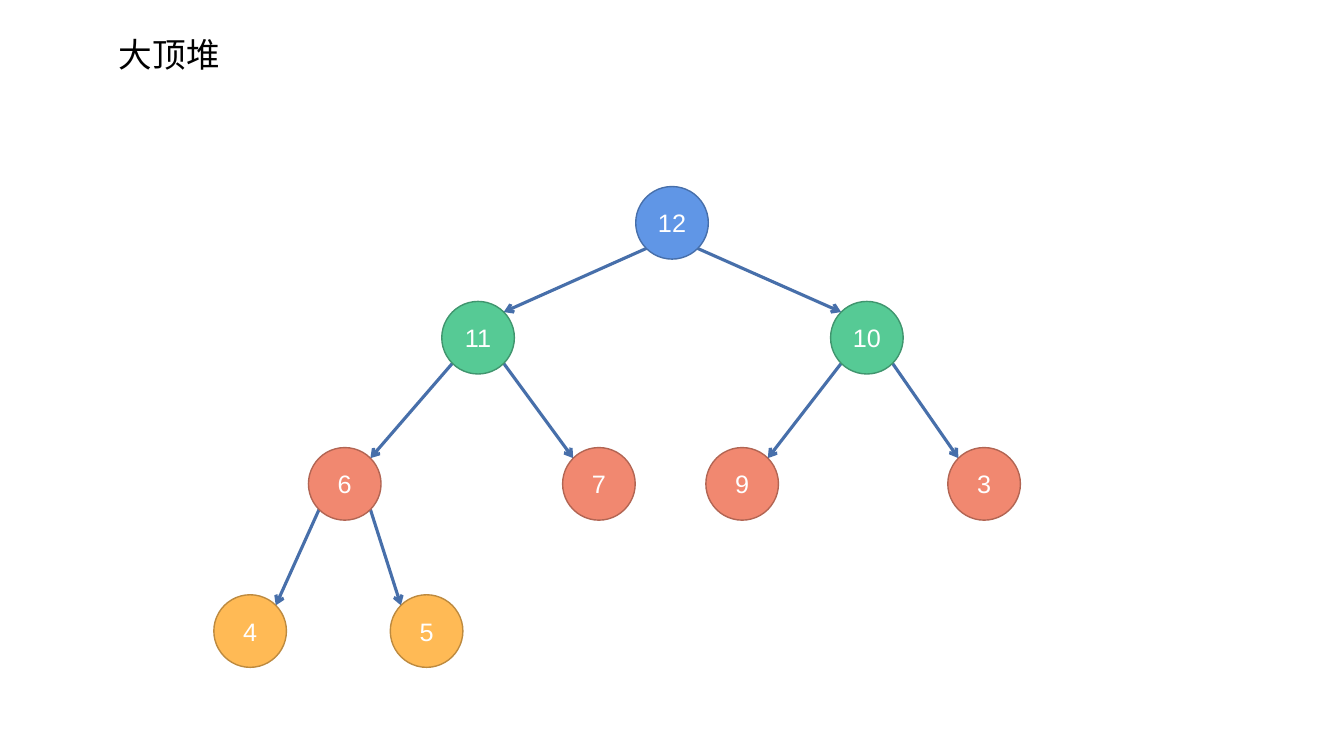
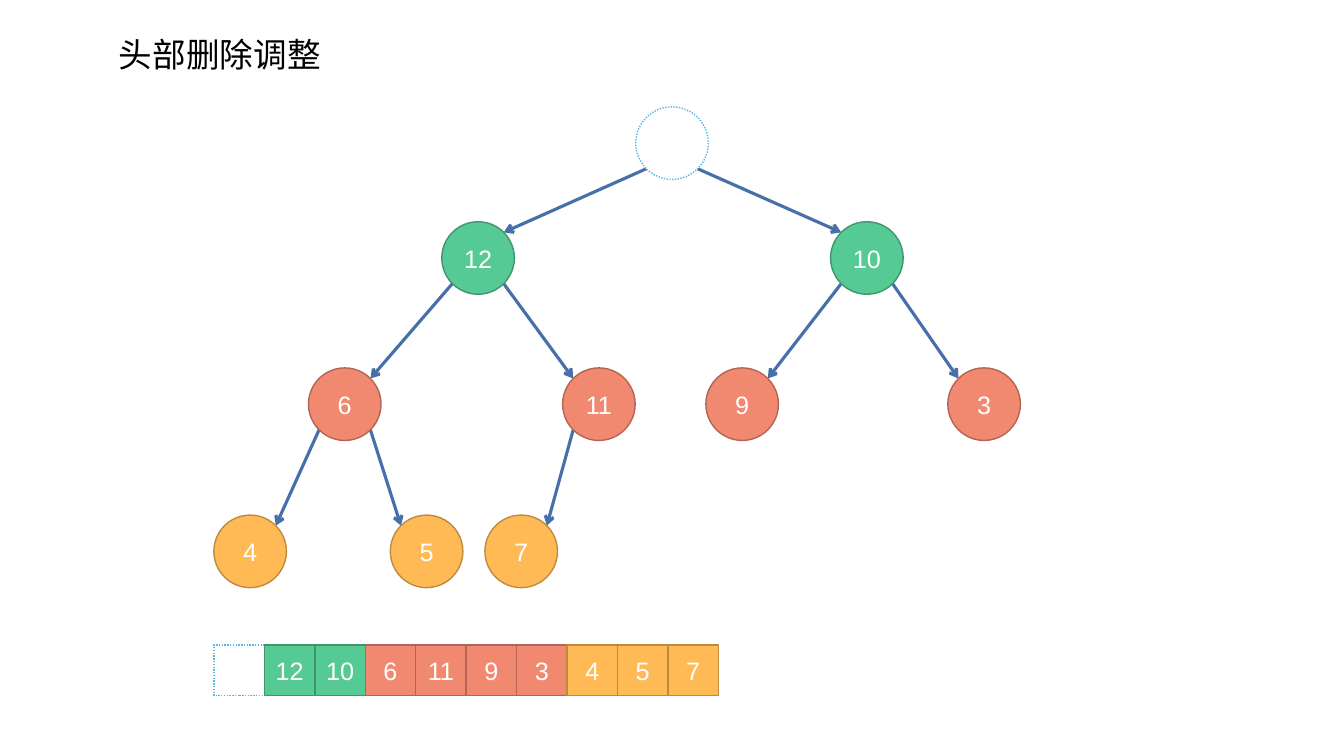
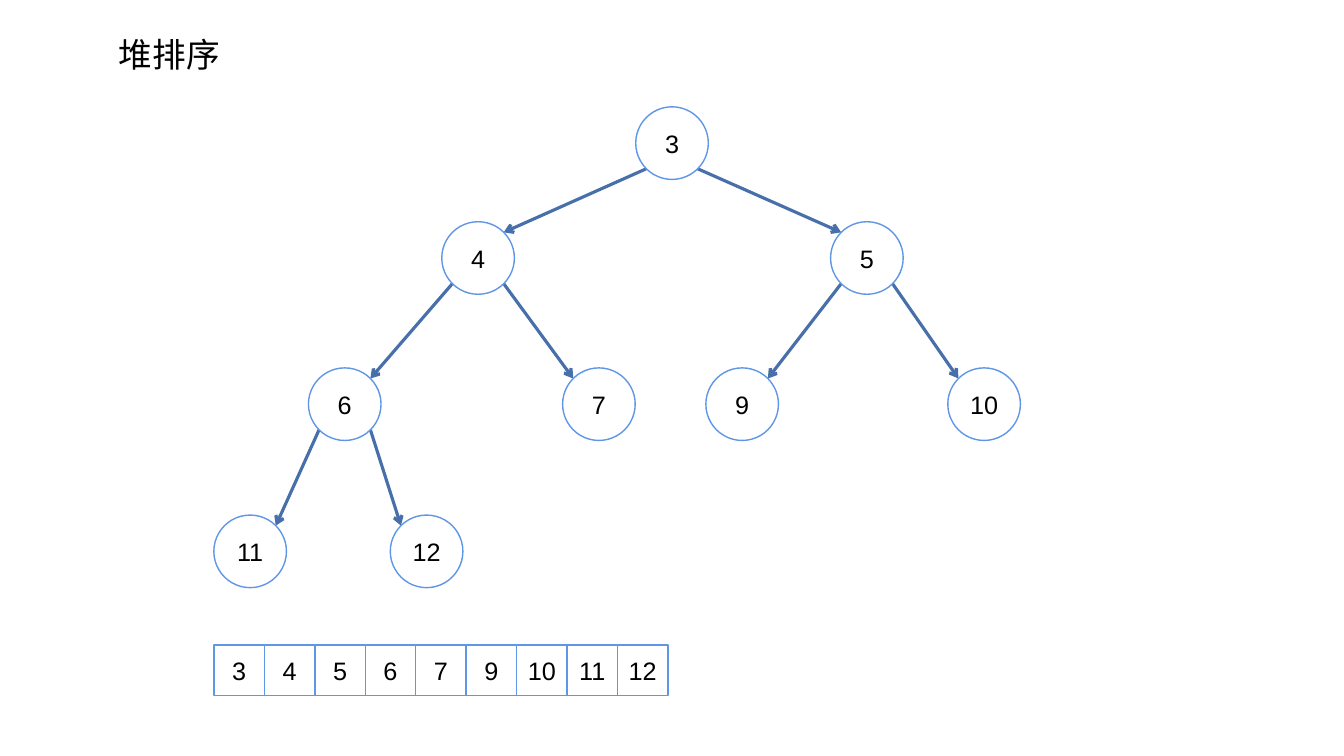
"""Draw a max-heap, its repair after the head is removed, and heap sort."""
from math import cos, pi

from lxml.etree import SubElement
from pptx import Presentation
from pptx.dml.color import RGBColor
from pptx.enum.dml import MSO_LINE
from pptx.enum.shapes import MSO_CONNECTOR, MSO_SHAPE
from pptx.enum.text import MSO_ANCHOR, MSO_AUTO_SIZE, PP_ALIGN
from pptx.oxml.ns import qn
from pptx.util import Inches, Pt

WIDTH, HEIGHT = Inches(13.33), Inches(7.5)
FONT = "Arial"
HUES = {
    "white": "FFFFFF", "black": "000000", "sky": "58B6E5",
    "blue": "6096E6", "navy": "476FAA",
    "green": "56CA95", "moss": "40956E",
    "coral": "F18870", "rust": "B26553",
    "amber": "FFBA55", "ochre": "BD8A3F",
}
TIERS = [("blue", "navy", "white"), ("green", "moss", "white"),
         ("coral", "rust", "white"), ("amber", "ochre", "white")]
PLAIN = ("white", "blue", "black")
HOLE = ("white", "sky", "black")

COLS = [50, 35.57, 64.5, 25.65, 44.56, 55.22, 73.22, 18.61, 31.74, 38.78]
ROWS = [0, 15.2, 34.53, 54]
LOW, TOP = 29.47, 18.93


def wide(part):
    """Turn a percentage of the slide's width into a length."""
    return round(WIDTH * part / 100)


def high(part):
    """Turn a percentage of the slide's height into a length."""
    return round(HEIGHT * part / 100)


DIAM = high(9.6)
CELL = high(6.67)
EDGE = round(DIAM / 2 * cos(pi / 4))


def hue(name):
    """Look up a colour by name."""
    return RGBColor.from_string(HUES[name])


def write(frame, text, size, tone, align):
    """Put one formatted run into a text frame."""
    para = frame.paragraphs[0]
    para.alignment = align
    run = para.add_run()
    run.text = text
    run.font.name, run.font.size = FONT, Pt(size)
    run.font.color.rgb = hue(tone)


def head(slide, text):
    """Place and fill the title."""
    title = slide.shapes.title
    title.left, title.top = wide(8.1), high(3.87)
    title.width, title.height = wide(19.05), high(6.67)
    frame = title.text_frame
    frame.word_wrap = True
    frame.auto_size = MSO_AUTO_SIZE.SHAPE_TO_FIT_TEXT
    frame.vertical_anchor = MSO_ANCHOR.TOP
    write(frame, text, 24, "black", PP_ALIGN.LEFT)


def tier(slot):
    """Give the tree level of a heap slot."""
    return (slot + 1).bit_length() - 1


def tones(slot, text, plain):
    """Choose fill, line and text colours for a slot."""
    if not text:
        return HOLE
    return PLAIN if plain else TIERS[tier(slot)]


def box(slide, kind, left, top, size, text, look):
    """Draw a circle or square that holds one value."""
    fill, line, ink = look
    shape = slide.shapes.add_shape(kind, left, top, size, size)
    shape.shadow.inherit = False
    shape.fill.solid()
    shape.fill.fore_color.rgb = hue(fill)
    shape.line.color.rgb = hue(line)
    shape.line.width = Pt(1)
    if not text:
        shape.line.dash_style = MSO_LINE.ROUND_DOT
        return
    frame = shape.text_frame
    frame.margin_left = frame.margin_right = 0
    frame.vertical_anchor = MSO_ANCHOR.MIDDLE
    write(frame, text, 18, ink, PP_ALIGN.CENTER)


def arrow(slide, start, end):
    """Draw an arrow between two points."""
    link = slide.shapes.add_connector(MSO_CONNECTOR.STRAIGHT, *start, *end)
    link.line.color.rgb = hue("navy")
    link.line.width = Pt(2.25)
    props = link._element.spPr
    SubElement(props.find(qn("a:ln")), qn("a:tailEnd"), type="arrow")
    SubElement(props, qn("a:effectLst"))


def tree(slide, vals, top, plain):
    """Draw the heap as a binary tree with its root at the given height."""
    spots = [(wide(COLS[slot]), high(top + ROWS[tier(slot)]))
             for slot in range(len(vals))]
    for slot in range(1, len(vals)):
        (px, py), (cx, cy) = spots[(slot - 1) // 2], spots[slot]
        side = -EDGE if slot % 2 else EDGE
        arrow(slide, (px + side, py + EDGE), (cx - side, cy - EDGE))
    for slot, (text, (x, y)) in enumerate(zip(vals, spots)):
        box(slide, MSO_SHAPE.OVAL, x - DIAM // 2, y - DIAM // 2, DIAM,
            text, tones(slot, text, plain))


def array(slide, vals, plain):
    """Draw the heap as a row of cells."""
    for slot, text in enumerate(vals):
        box(slide, MSO_SHAPE.RECTANGLE, wide(15.92) + slot * CELL,
            high(85.33), CELL, text, tones(slot, text, plain))


def page(deck, title, vals, top=TOP, plain=False, cells=True):
    """Add one slide with a title, a tree and, if asked, the array."""
    slide = deck.slides.add_slide(deck.slide_layouts[5])
    head(slide, title)
    tree(slide, vals, top, plain)
    if cells:
        array(slide, vals, plain)


def main():
    """Build and save the slides."""
    deck = Presentation()
    deck.slide_width, deck.slide_height = WIDTH, HEIGHT
    page(deck, "大顶堆", "12 11 10 6 7 9 3 4 5".split(), top=LOW, cells=False)
    page(deck, "头部删除调整", ["", *"12 10 6 11 9 3 4 5 7".split()])
    page(deck, "堆排序", "3 4 5 6 7 9 10 11 12".split(), plain=True)
    deck.save("out.pptx")


if __name__ == "__main__":
    main()
